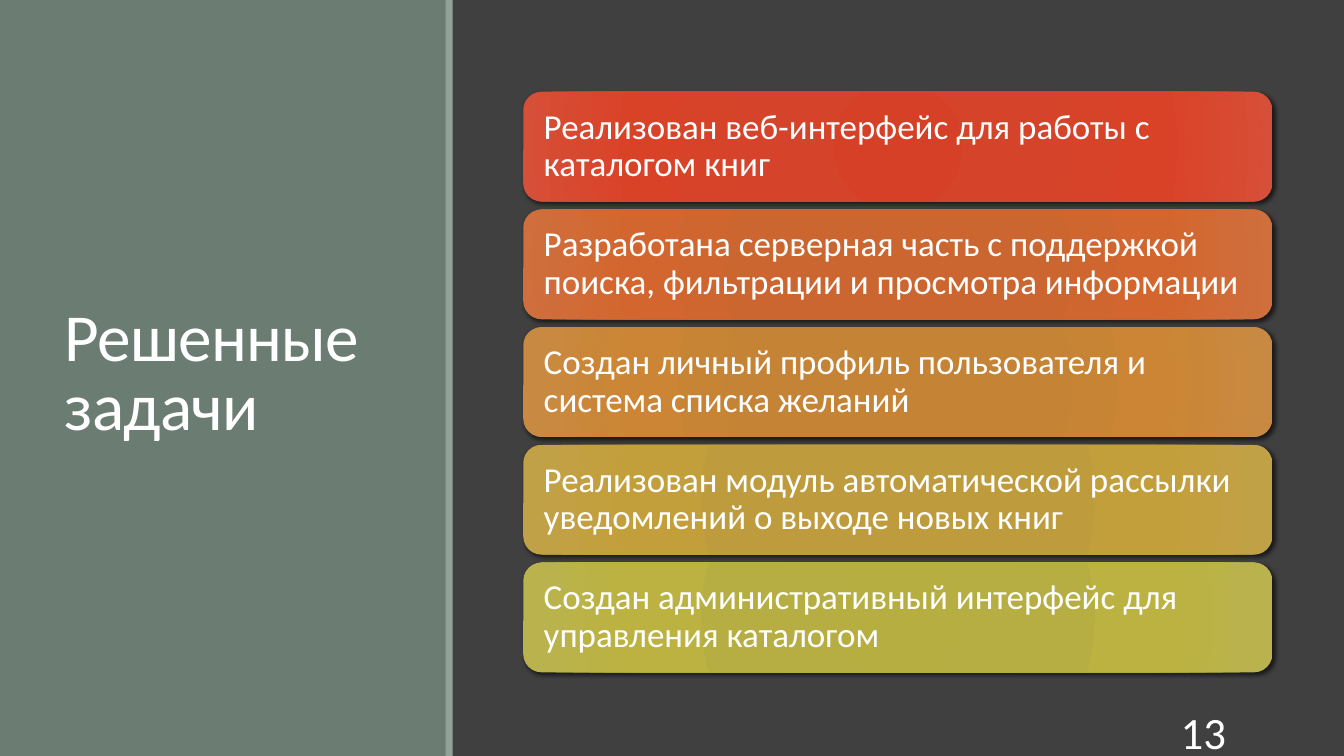
from lxml import etree
from pptx import Presentation
from pptx.dml.color import RGBColor
from pptx.enum.shapes import MSO_SHAPE as Shape
from pptx.enum.text import MSO_ANCHOR as Anchor, PP_ALIGN as Align
from pptx.oxml import parse_xml
from pptx.oxml.ns import nsdecls, qn
from pptx.util import Inches, Pt

FONT = "Calibri"
COLORS = {
    "background": "404040",
    "panel": "6B7D72",
    "stripe": "93A299",
    "text": "FFFFFF",
    "shadow": "000000",
}
GRADIENT_STOPS = (0, 34, 70, 100)
# Each solved task with the colours of its card, from centre to edge
TASKS = [
    ("Реализован веб-интерфейс для работы с каталогом книг",
     ("D54027", "D4432A", "DA4228", "D64F38")),
    ("Разработана серверная часть с поддержкой поиска, фильтрации и просмотра информации",
     ("CD642D", "CC6630", "D3662E", "CF6F3D")),
    ("Создан личный профиль пользователя и система списка желаний",
     ("C68233", "C58336", "CB8534", "C88A43")),
    ("Реализован модуль автоматической рассылки уведомлений о выходе новых книг",
     ("BE9B39", "BE9B3C", "C39F3B", "C1A148")),
    ("Создан административный интерфейс для управления каталогом",
     ("B6AE40", "B6AE43", "BBB241", "BAB24E")),
]
CARD_TOP, CARD_STEP = 0.91, 1.1675


def color(name):
    return RGBColor.from_string(COLORS[name])


def write(frame, text, size, align=Align.LEFT, spacing=1.0):
    frame.text = text
    frame.word_wrap = True
    frame.vertical_anchor = Anchor.MIDDLE
    paragraph = frame.paragraphs[0]
    paragraph.alignment = align
    paragraph.line_spacing = spacing
    font = paragraph.runs[0].font
    font.name, font.size = FONT, Pt(size)
    font.color.rgb = color("text")
    return font


def add_bar(slide, left, width, fill):
    bar = slide.shapes.add_shape(
        Shape.RECTANGLE, Inches(left), 0, Inches(width), Inches(7.5))
    bar.shadow.inherit = False
    bar.fill.solid()
    bar.fill.fore_color.rgb = color(fill)
    bar.line.fill.background()
    return bar


def apply_gradient(card, shades):
    stops = "".join(
        f'<a:gs pos="{stop * 1000}"><a:srgbClr val="{shade}"/></a:gs>'
        for stop, shade in zip(GRADIENT_STOPS, shades))
    gradient = parse_xml(
        f'<a:gradFill {nsdecls("a")} rotWithShape="1"><a:gsLst>{stops}</a:gsLst>'
        '<a:path path="circle"><a:fillToRect l="100000" t="100000" '
        'r="100000" b="100000"/></a:path></a:gradFill>')
    card.fill.gradient()
    properties = card.element.spPr
    properties.replace(properties.find(qn("a:gradFill")), gradient)


def apply_shadow(card):
    card.shadow.inherit = False
    effects = card.element.spPr.find(qn("a:effectLst"))
    outer = etree.SubElement(
        effects, qn("a:outerShdw"), blurRad=str(Pt(3)), dist=str(Pt(2)),
        dir=str(45 * 60000), algn="ctr", rotWithShape="0")
    tint = etree.SubElement(outer, qn("a:srgbClr"), val=COLORS["shadow"])
    etree.SubElement(tint, qn("a:alpha"), val="60000")


def add_task_card(slide, top, task, shades):
    card = slide.shapes.add_shape(
        Shape.ROUNDED_RECTANGLE, Inches(5.19), Inches(top), Inches(7.43), Inches(1.09))
    card.line.fill.background()
    apply_gradient(card, shades)
    apply_shadow(card)
    frame = card.text_frame
    frame.margin_left = frame.margin_right = Inches(0.15)
    write(frame, task, 25, spacing=0.9)


def place_title(slide, text):
    title = slide.shapes.title
    title.left, title.top = Inches(0.54), Inches(0.57)
    title.width, title.height = Inches(3.37), Inches(6.31)
    font = write(title.text_frame, text, 48, spacing=0.85)
    font._element.set("spc", "-50")
    return title


def add_page_number(slide, number):
    box = slide.shapes.add_textbox(
        Inches(10.83), Inches(7.06), Inches(1.43), Inches(0.4))
    write(box.text_frame, number, 32, align=Align.RIGHT)


def main():
    presentation = Presentation()
    presentation.slide_width = Inches(13.33)
    presentation.slide_height = Inches(7.5)
    slide = presentation.slides.add_slide(presentation.slide_layouts[5])
    slide.background.fill.solid()
    slide.background.fill.fore_color.rgb = color("background")

    # Title panel, kept behind the title
    title = place_title(slide, "Решенные задачи")
    panel = add_bar(slide, 0, 4.43, "panel")
    title.element.addprevious(panel.element)
    add_bar(slide, 4.42, 0.07, "stripe")

    # Solved tasks
    for index, (task, shades) in enumerate(TASKS):
        add_task_card(slide, CARD_TOP + index * CARD_STEP, task, shades)

    add_page_number(slide, "13")
    presentation.save("out.pptx")


if __name__ == "__main__":
    main()
